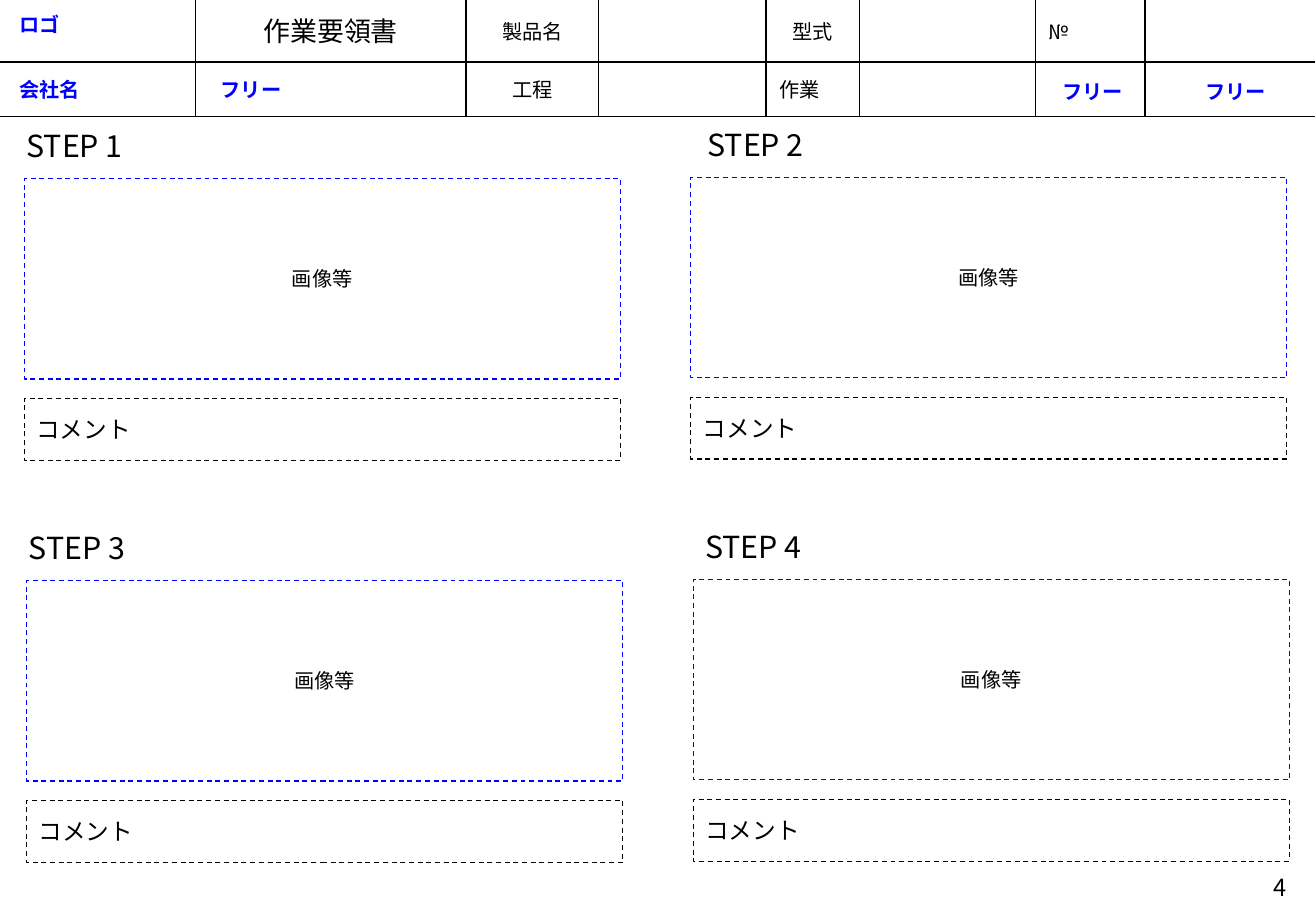
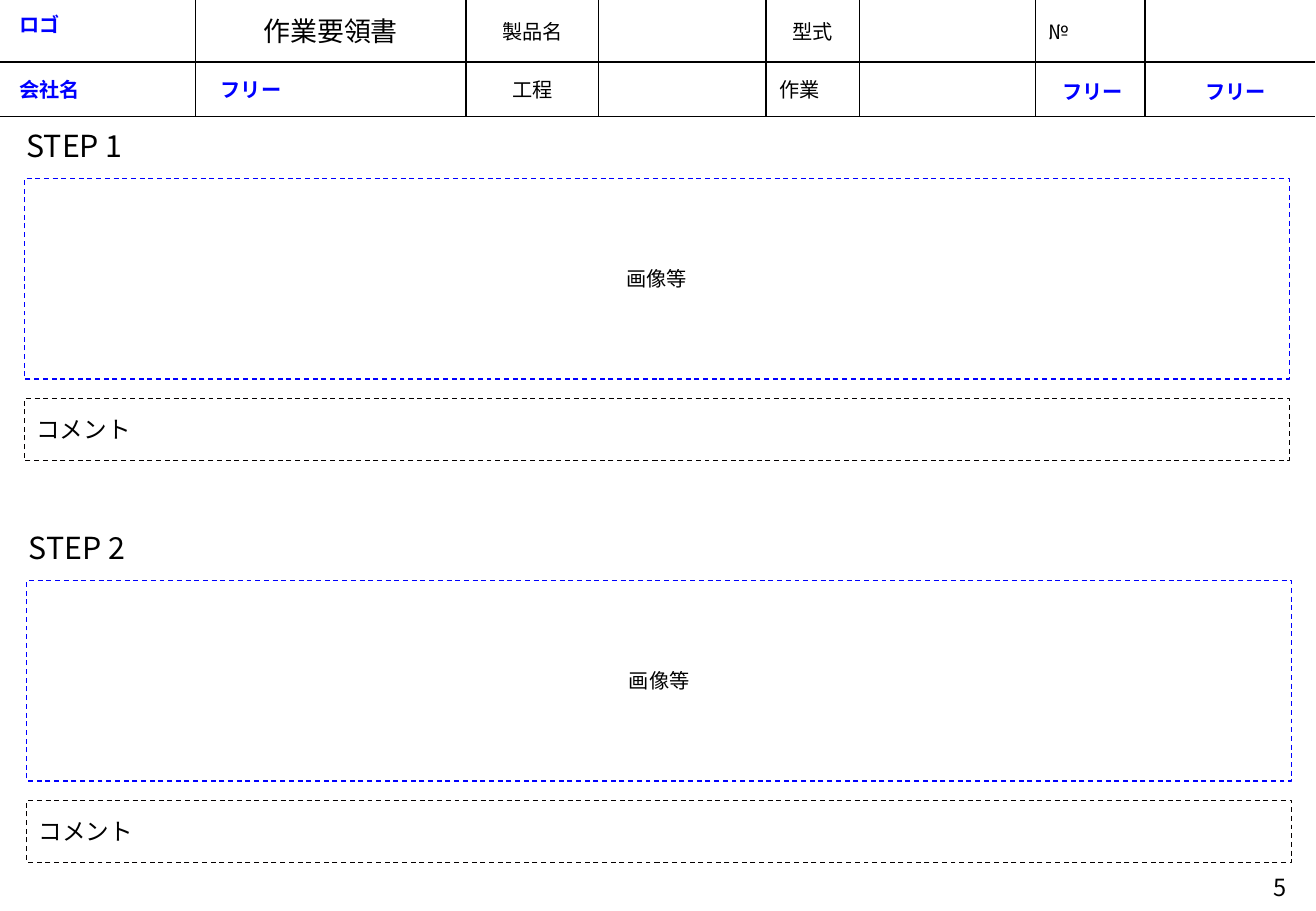
from dataclasses import dataclass
from itertools import pairwise
from typing import NamedTuple

from lxml.etree import SubElement
from pptx import Presentation
from pptx.dml.color import RGBColor
from pptx.enum.dml import MSO_LINE
from pptx.enum.shapes import MSO_CONNECTOR, MSO_SHAPE
from pptx.enum.text import MSO_ANCHOR, MSO_AUTO_SIZE, PP_ALIGN
from pptx.oxml.ns import qn
from pptx.shapes.autoshape import Shape
from pptx.slide import Slide
from pptx.util import Emu, Pt

PX_PER_INCH = 100
EMU_PER_PX = 914400 // PX_PER_INCH


@dataclass(frozen=True)
class Theme:
    font: str = "Noto Sans CJK JP"
    ink: RGBColor = RGBColor(0, 0, 0)
    accent: RGBColor = RGBColor(0, 0, 255)
    comment_edge: RGBColor = RGBColor(4, 0, 0)
    paper: RGBColor = RGBColor(255, 255, 255)
    title_size: int = 16
    step_size: int = 18
    comment_size: int = 14
    label_size: int = 12
    rule_width: float = 1
    frame_width: float = 0.75


THEME = Theme()


class Area(NamedTuple):
    left: int
    top: int
    width: int
    height: int


class Style(NamedTuple):
    size: int = THEME.label_size
    color: RGBColor = THEME.ink
    bold: bool = False
    align: PP_ALIGN = PP_ALIGN.LEFT
    anchor: MSO_ANCHOR = MSO_ANCHOR.MIDDLE
    side_inset: int = 10


class Label(NamedTuple):
    text: str
    area: Area
    style: Style


class Step(NamedTuple):
    heading: str
    left: int
    top: int
    width: int
    heading_left: int


class Sheet(NamedTuple):
    number: int
    steps: tuple[Step, ...]


SLIDE_WIDTH, SLIDE_HEIGHT = 1084, 750
COLUMN_EDGES = (161, 384, 493, 631, 708, 853, 943, 1083)
RIGHT_EDGE = COLUMN_EDGES[-1]
TOP_ROW, BAND_BOTTOM = 51, 96
TOP_CELLS = ("作業要領書", "製品名", "", "型式", "", "№", "")

CELL_LEFT = Style(side_inset=11)
CELL_CENTER = CELL_LEFT._replace(align=PP_ALIGN.CENTER)
TITLE = CELL_CENTER._replace(size=THEME.title_size)
ENTRY = Style(color=THEME.accent, bold=True, anchor=MSO_ANCHOR.TOP)
STEP_HEADING = Style(THEME.step_size, anchor=MSO_ANCHOR.TOP)
IMAGE_FRAME = Style(align=PP_ALIGN.CENTER)
COMMENT = Style(THEME.comment_size)
PAGE_NUMBER = Style(THEME.comment_size, align=PP_ALIGN.RIGHT, side_inset=24)

BAND_LABELS = (
    Label("工程", Area(384, 51, 109, 45), CELL_CENTER),
    Label("作業", Area(631, 51, 77, 45), CELL_LEFT),
)
ENTRY_LABELS = (
    Label("ロゴ", Area(6, 5, 149, 40), ENTRY),
    Label("会社名", Area(6, 59, 149, 40), ENTRY),
    Label("フリー", Area(172, 59, 205, 40), ENTRY),
    Label("フリー", Area(865, 60, 87, 40), ENTRY),
    Label("フリー", Area(983, 60, 87, 40), ENTRY),
)

HALF, FULL = 491, 1042
SHEETS = (
    Sheet(4, (
        Step("STEP 1", 20, 147, HALF, 12),
        Step("STEP 2", 569, 146, HALF, 573),
        Step("STEP 3", 22, 478, HALF, 14),
        Step("STEP 4", 571, 477, HALF, 571),
    )),
    Sheet(5, (
        Step("STEP 1", 20, 147, FULL, 12),
        Step("STEP 2", 22, 478, FULL, 14),
    )),
)


def px(length: int) -> Emu:
    return Emu(length * EMU_PER_PX)


def write(box: Shape, text: str, style: Style) -> None:
    frame = box.text_frame
    frame.word_wrap = True
    frame.auto_size = MSO_AUTO_SIZE.NONE
    frame.vertical_anchor = style.anchor
    frame.margin_left = frame.margin_right = px(style.side_inset)
    frame.margin_top = frame.margin_bottom = px(5)
    para = frame.paragraphs[0]
    para.alignment = style.align
    span = para.add_run()
    span.text = text
    font = span.font
    font.name = THEME.font
    font.size = Pt(style.size)
    font.bold = style.bold
    font.color.rgb = style.color
    SubElement(font._element, qn("a:ea"), typeface=THEME.font)


def add_label(page: Slide, label: Label) -> Shape:
    box = page.shapes.add_textbox(*map(px, label.area))
    write(box, label.text, label.style)
    return box


def add_panel(page: Slide, area: Area, edge: RGBColor | None = None) -> Shape:
    """Add a white rectangle, with a dashed outline when an edge colour is given."""
    panel = page.shapes.add_shape(MSO_SHAPE.RECTANGLE, *map(px, area))
    panel.shadow.inherit = False
    panel.fill.solid()
    panel.fill.fore_color.rgb = THEME.paper
    if edge is None:
        panel.line.fill.background()
    else:
        panel.line.color.rgb = edge
        panel.line.width = Pt(THEME.frame_width)
        panel.line.dash_style = MSO_LINE.DASH
    return panel


def add_rule(page: Slide, x1: int, y1: int, x2: int, y2: int) -> None:
    rule = page.shapes.add_connector(
        MSO_CONNECTOR.STRAIGHT, px(x1), px(y1), px(x2), px(y2))
    rule.line.color.rgb = THEME.ink
    rule.line.width = Pt(THEME.rule_width)
    SubElement(rule._element.spPr, qn("a:effectLst"))


def place_title(page: Slide, text: str, area: Area) -> None:
    title = page.shapes.title
    title.left, title.top, title.width, title.height = map(px, area)
    title.fill.solid()
    title.fill.fore_color.rgb = THEME.paper
    write(title, text, TITLE)


def add_header_band(page: Slide) -> None:
    for text, (left, right) in zip(TOP_CELLS, pairwise(COLUMN_EDGES)):
        area = Area(left, 0, right - left, TOP_ROW)
        if text == TOP_CELLS[0]:
            place_title(page, text, area)
            continue
        cell = add_panel(page, area)
        if text:
            write(cell, text, CELL_LEFT if text == "№" else CELL_CENTER)
    for label in BAND_LABELS:
        add_label(page, label)
    for x in COLUMN_EDGES[:-1]:
        add_rule(page, x, 0, x, BAND_BOTTOM)
    add_rule(page, 0, TOP_ROW, RIGHT_EDGE, TOP_ROW)
    for left, right in pairwise((0, COLUMN_EDGES[0], RIGHT_EDGE)):
        add_rule(page, left, BAND_BOTTOM, right, BAND_BOTTOM)


def add_page_number(page: Slide, number: int) -> None:
    box = add_label(page, Label(str(number), Area(1017, 714, 67, 40), PAGE_NUMBER))
    box.text_frame.paragraphs[0].line_spacing = Pt(11)


def add_step(page: Slide, step: Step) -> None:
    image = add_panel(page, Area(step.left, step.top, step.width, 165), THEME.accent)
    write(image, "画像等", IMAGE_FRAME)
    comment = add_panel(
        page, Area(step.left, step.top + 181, step.width, 51), THEME.comment_edge)
    write(comment, "コメント", COMMENT)
    heading_area = Area(step.heading_left, step.top - 47, 244, 40)
    add_label(page, Label(step.heading, heading_area, STEP_HEADING))


def main() -> None:
    deck = Presentation()
    deck.slide_width, deck.slide_height = px(SLIDE_WIDTH), px(SLIDE_HEIGHT)
    title_only = deck.slide_layouts.get_by_name("Title Only")
    for sheet in SHEETS:
        page = deck.slides.add_slide(title_only)
        add_header_band(page)
        add_page_number(page, sheet.number)
        for label in ENTRY_LABELS:
            add_label(page, label)
        for step in sheet.steps:
            add_step(page, step)
    deck.save("out.pptx")


if __name__ == "__main__":
    main()
